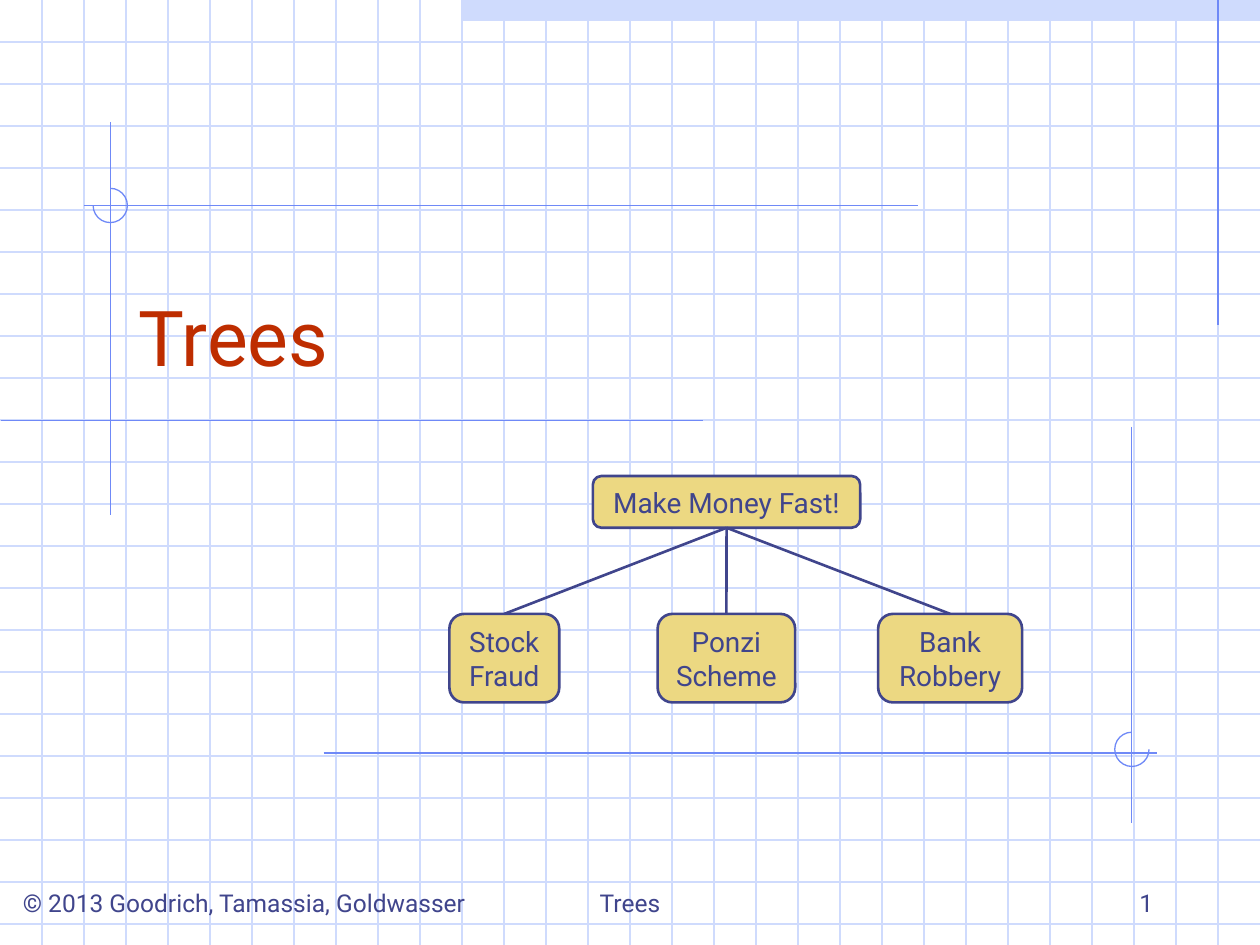
from pptx import Presentation
from pptx.dml.color import RGBColor
from pptx.enum.shapes import MSO_CONNECTOR, MSO_SHAPE
from pptx.enum.text import MSO_ANCHOR, PP_ALIGN
from pptx.oxml.ns import qn
from pptx.util import Pt
from lxml.etree import SubElement

WIDTH, HEIGHT, CELL = 720, 540, 24
PALE, BLUE, NAVY, GOLD, RED = "CFDBFD", "6F89F7", "40458C", "ECD882", "BE2D00"
FONT = "Roboto"


def paint(color_format, color):
    """Set a fill's or a font's colour from a hex string."""
    color_format.rgb = RGBColor.from_string(color)


def write(box, text, size=14, color=NAVY, align=PP_ALIGN.LEFT,
          anchor=MSO_ANCHOR.BOTTOM, wrap=True):
    """Write one formatted paragraph into a shape."""
    frame = box.text_frame
    frame.word_wrap = wrap
    frame.vertical_anchor = anchor
    frame.margin_left = frame.margin_right = Pt(7.2)
    frame.margin_top = frame.margin_bottom = Pt(3.6)
    para = frame.paragraphs[0]
    para.text = text
    para.alignment = align
    for span in para.runs:
        span.font.name = FONT
        span.font.size = Pt(size)
        paint(span.font.color, color)


def add_line(page, x1, y1, x2, y2, color=BLUE, width=0.75):
    """Draw a straight line without shadow."""
    line = page.shapes.add_connector(
        MSO_CONNECTOR.STRAIGHT, Pt(x1), Pt(y1), Pt(x2), Pt(y2))
    paint(line.line.color, color)
    line.line.width = Pt(width)
    SubElement(line.element.spPr, qn("a:effectLst"))
    return line


def add_shape(page, kind, left, top, width, height, fill=None, line=None, weight=0.75):
    """Draw a preset shape with an optional fill and outline."""
    shape = page.shapes.add_shape(kind, Pt(left), Pt(top), Pt(width), Pt(height))
    shape.shadow.inherit = False
    if fill:
        shape.fill.solid()
        paint(shape.fill.fore_color, fill)
    else:
        shape.fill.background()
    if line:
        paint(shape.line.color, line)
        shape.line.width = Pt(weight)
    else:
        shape.line.fill.background()
    return shape


def add_arc(page, center_x, center_y, start, end, radius=9.8):
    """Draw a clockwise arc between two angles in degrees."""
    arc = add_shape(page, MSO_SHAPE.ARC, center_x - radius, center_y - radius,
                    2 * radius, 2 * radius, line=BLUE)
    for index, angle in enumerate((start, end)):
        arc.adjustments[index] = angle * 0.6


def add_grid(page, width, height):
    """Rule the page into square cells below a top bar."""
    add_shape(page, MSO_SHAPE.RECTANGLE, 11 * CELL, 0, width - 11 * CELL, 12, fill=PALE)
    for y in range(CELL, height, CELL):
        add_line(page, 0, y, width, y, PALE)
    for x in range(CELL, width, CELL):
        add_line(page, x, 0, x, height, PALE)


def add_drafting_marks(page):
    """Draw the long guide lines and their corner arcs."""
    guides = [
        (696, 0, 696, 186), (63.25, 70, 63.25, 294.5), (0.5, 240.4, 401.8, 240.4),
        (48, 117.4, 524.4, 117.4), (185, 430.3, 661, 430.3), (646.6, 244, 646.6, 470.5),
    ]
    for guide in guides:
        add_line(page, *guide)
    add_arc(page, 63.0, 117.4, 270, 180)
    add_arc(page, 646.8, 428.2, 0, 270)


def add_title(page, text, left, top, width, height):
    """Place the title placeholder in front of the background."""
    title = page.shapes.title
    title.left, title.top, title.width, title.height = map(Pt, (left, top, width, height))
    write(title, text, size=44, color=RED)
    title.element.getparent().append(title.element)


def add_node(page, text, left, top, width, height):
    """Draw one rounded node of the tree."""
    node = add_shape(page, MSO_SHAPE.ROUNDED_RECTANGLE, left, top, width, height,
                     GOLD, NAVY, 1.5)
    node.adjustments[0] = 0.167
    write(node, text, size=16, align=PP_ALIGN.CENTER, anchor=MSO_ANCHOR.MIDDLE, wrap=False)
    return node


def add_tree(page, left, top):
    """Draw the root, its children and the edges between them."""
    root = add_node(page, "Make Money Fast!", left + 82, top, 152.8, 29.6)
    children = [("Stock\nFraud", 0, 62.8), ("Ponzi\nScheme", 119, 78.6),
                ("Bank\nRobbery", 245, 82.3)]
    for text, offset, width in children:
        child = add_node(page, text, left + offset, top + 78.8, width, 50.6)
        edge = add_line(page, 0, 0, 1, 1, NAVY, 1.5)
        edge.begin_connect(root, 2)
        edge.end_connect(child, 0)


def add_footer(page, top, height):
    """Write the credit, the topic and the page number."""
    parts = [("© 2013 Goodrich, Tamassia, Goldwasser", 6, 282, PP_ALIGN.LEFT),
             ("Trees", 246, 228, PP_ALIGN.CENTER), ("1", 516, 150, PP_ALIGN.RIGHT)]
    for text, left, width, align in parts:
        box = page.shapes.add_textbox(Pt(left), Pt(top), Pt(width), Pt(height))
        write(box, text, align=align)


def main():
    """Build and save the deck."""
    deck = Presentation()
    deck.slide_width, deck.slide_height = Pt(WIDTH), Pt(HEIGHT)
    page = deck.slides.add_slide(deck.slide_layouts[5])
    add_grid(page, WIDTH, HEIGHT)
    add_drafting_marks(page)
    add_title(page, "Trees", 72, 132, 612, 90)
    add_tree(page, 256.8, 272)
    add_footer(page, 492, 36)
    deck.save("out.pptx")


if __name__ == "__main__":
    main()
